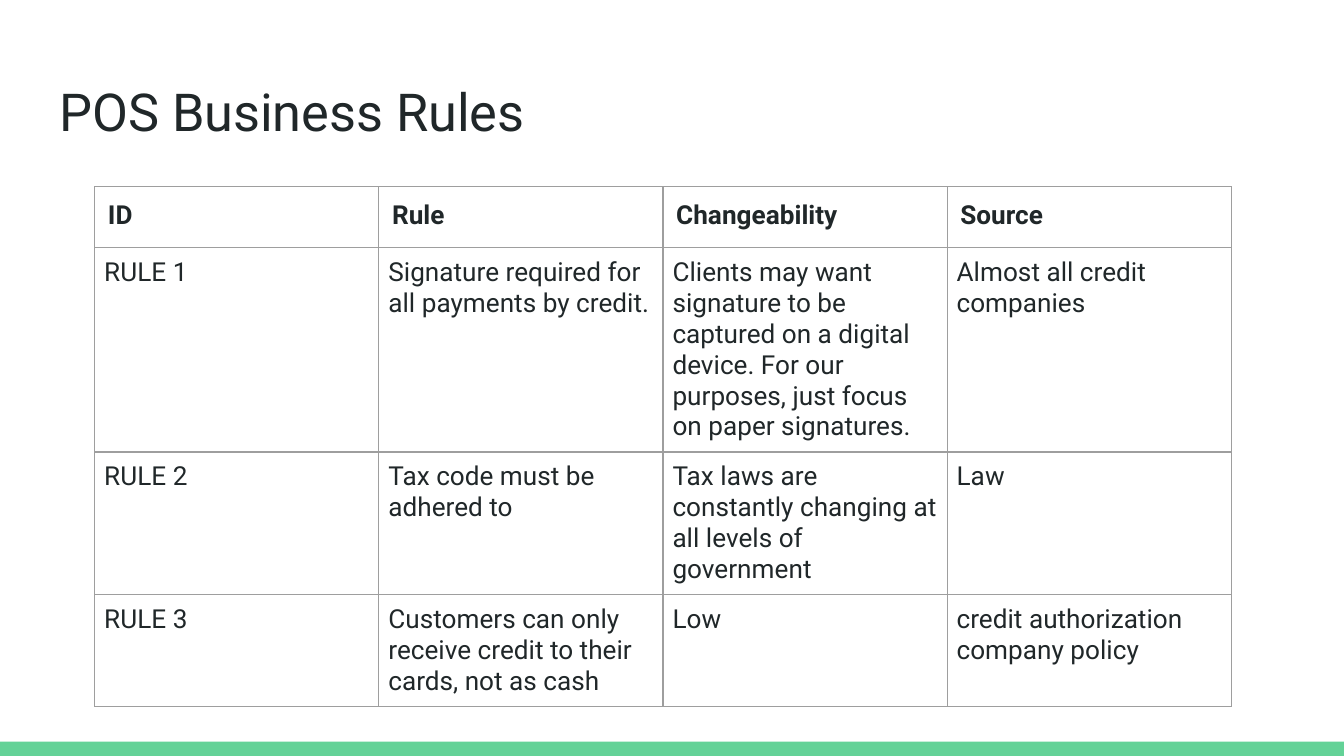
"""Build the POS business rules slide: a title, a rules table and a green footer band."""
from dataclasses import dataclass

from lxml.etree import SubElement
from pptx import Presentation
from pptx.dml.color import RGBColor
from pptx.enum.shapes import MSO_SHAPE
from pptx.enum.text import MSO_ANCHOR, MSO_AUTO_SIZE, PP_ALIGN
from pptx.oxml.ns import qn
from pptx.slide import Slide
from pptx.table import _Cell
from pptx.text.text import TextFrame
from pptx.util import Cm, Pt

COLORS = {"ink": "202729", "band": "63D297", "border": "9E9E9E", "paper": "FFFFFF"}
FONT = "Roboto"
PAGE_WIDTH, PAGE_HEIGHT = 25.4, 14.29
BAND_HEIGHT = 0.27
TABLE_LEFT, TABLE_TOP = 1.79, 3.53
COLUMN_WIDTH = 5.37
HEADINGS = ("ID", "Rule", "Changeability", "Source")


@dataclass(frozen=True)
class Rule:
    name: str
    text: str
    changeability: str
    source: str
    height: float


RULES = [
    Rule(
        "RULE 1",
        "Signature required for all payments by credit.",
        "Clients may want signature to be captured on a digital device. "
        "For our purposes, just focus on paper signatures.",
        "Almost all credit companies",
        3.53,
    ),
    Rule(
        "RULE 2",
        "Tax code must be adhered to",
        "Tax laws are constantly changing at all levels of government",
        "Law",
        1.88,
    ),
    Rule(
        "RULE 3",
        "Customers can only receive credit to their cards, not as cash",
        "Low",
        "credit authorization company policy",
        1.88,
    ),
]


def write_text(frame: TextFrame, text: str, *, size: float, bold: bool = False) -> None:
    paragraph = frame.paragraphs[0]
    paragraph.alignment = PP_ALIGN.LEFT
    span = paragraph.add_run()
    span.text = text
    span.font.name = FONT
    span.font.size = Pt(size)
    span.font.bold = bold
    span.font.color.rgb = RGBColor.from_string(COLORS["ink"])


def draw_borders(cell: _Cell) -> None:
    properties = cell._tc.get_or_add_tcPr()
    for side in ("a:lnL", "a:lnR", "a:lnT", "a:lnB"):
        line = SubElement(properties, qn(side), w=str(Pt(0.75)))
        fill = SubElement(line, qn("a:solidFill"))
        SubElement(fill, qn("a:srgbClr"), val=COLORS["border"])


def fill_cell(cell: _Cell, text: str, *, margin: float, bold: bool = False) -> None:
    cell.margin_left = cell.margin_right = Cm(margin)
    cell.margin_top = cell.margin_bottom = Cm(margin)
    cell.vertical_anchor = MSO_ANCHOR.TOP
    draw_borders(cell)
    cell.fill.background()
    write_text(cell.text_frame, text, size=14, bold=bold)


def draw_band(page: Slide) -> None:
    band = page.shapes.add_shape(
        MSO_SHAPE.RECTANGLE,
        Cm(0), Cm(PAGE_HEIGHT - BAND_HEIGHT), Cm(PAGE_WIDTH), Cm(BAND_HEIGHT),
    )
    band.shadow.inherit = False
    band.fill.solid()
    band.fill.fore_color.rgb = RGBColor.from_string(COLORS["band"])
    band.line.fill.background()


def draw_title(page: Slide, text: str) -> None:
    title = page.shapes.title
    title.left, title.top, title.width, title.height = Cm(0.87), Cm(1.24), Cm(23.67), Cm(1.6)
    frame = title.text_frame
    frame.margin_left = frame.margin_right = Cm(0.25)
    frame.margin_top = frame.margin_bottom = Cm(0.25)
    frame.vertical_anchor = MSO_ANCHOR.TOP
    frame.auto_size = MSO_AUTO_SIZE.NONE
    frame.word_wrap = True
    write_text(frame, text, size=28)


def draw_rules(page: Slide, rules: list[Rule]) -> None:
    heights = [1.15] + [rule.height for rule in rules]
    table = page.shapes.add_table(
        len(heights), len(HEADINGS), Cm(TABLE_LEFT), Cm(TABLE_TOP),
        Cm(COLUMN_WIDTH * len(HEADINGS)), Cm(sum(heights)),
    ).table
    table.horz_banding = False
    for column in table.columns:
        column.width = Cm(COLUMN_WIDTH)
    for row, height in zip(table.rows, heights):
        row.height = Cm(height)
    for index, heading in enumerate(HEADINGS):
        fill_cell(table.cell(0, index), heading, margin=0.25, bold=True)
    for number, rule in enumerate(rules, start=1):
        texts = (rule.name, rule.text, rule.changeability, rule.source)
        for index, text in enumerate(texts):
            fill_cell(table.cell(number, index), text, margin=0.18)


def main() -> None:
    deck = Presentation()
    deck.slide_width, deck.slide_height = Cm(PAGE_WIDTH), Cm(PAGE_HEIGHT)
    page = deck.slides.add_slide(deck.slide_layouts[5])
    page.background.fill.solid()
    page.background.fill.fore_color.rgb = RGBColor.from_string(COLORS["paper"])
    draw_band(page)
    draw_title(page, "POS Business Rules")
    draw_rules(page, RULES)
    deck.save("out.pptx")


if __name__ == "__main__":
    main()
